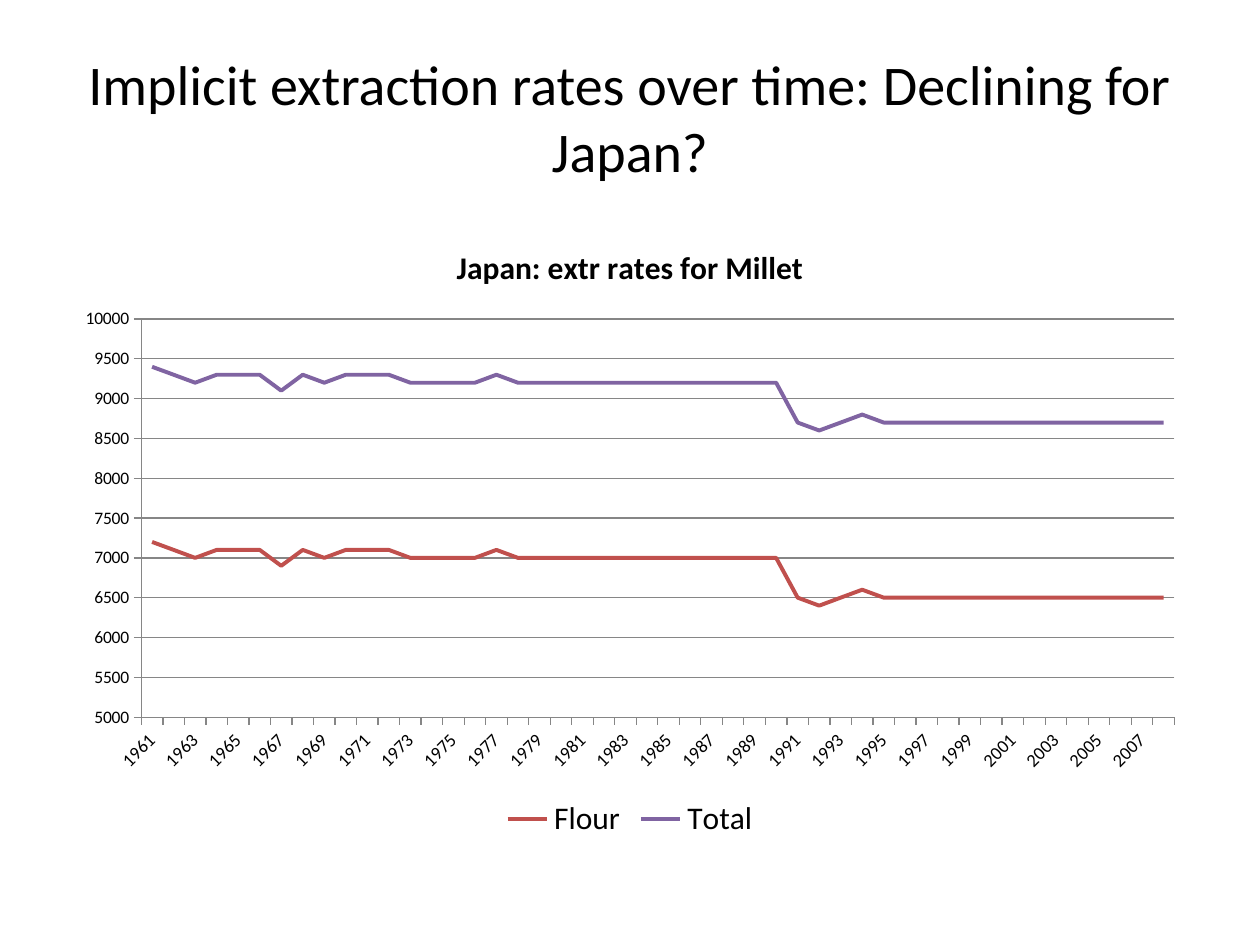
from dataclasses import dataclass

from pptx import Presentation
from pptx.chart.data import CategoryChartData
from pptx.dml.color import RGBColor
from pptx.enum.chart import XL_CHART_TYPE as ChartType
from pptx.enum.chart import XL_LEGEND_POSITION as LegendPosition
from pptx.enum.chart import XL_TICK_MARK as TickMark
from pptx.enum.text import MSO_ANCHOR as Anchor
from pptx.enum.text import PP_ALIGN as Align
from pptx.oxml import parse_xml
from pptx.oxml.ns import nsdecls
from pptx.util import Inches, Pt


@dataclass(frozen=True)
class Theme:
    font: str = "Calibri"
    text: str = "000000"
    grid: str = "868686"
    flour: str = "C0504D"
    total: str = "8064A2"
    heading: float = 32
    emphasis: float = 18
    years: float = 10.5
    rates: float = 10
    curve: float = 2.25
    hairline: float = 0.75


class SlideBuilder:
    def __init__(self, slide, theme):
        self.slide = slide
        self.theme = theme

    def style_font(self, font, size, bold=False):
        font.name = self.theme.font
        font.size = Pt(size)
        font.bold = bold
        font.color.rgb = RGBColor.from_string(self.theme.text)

    def style_line(self, line, color, width):
        line.color.rgb = RGBColor.from_string(color)
        line.width = Pt(width)

    def heading(self, wording, left, top, width, height):
        frame = self.slide.shapes.add_textbox(
            Inches(left), Inches(top), Inches(width), Inches(height)
        ).text_frame
        frame.word_wrap = True
        frame.vertical_anchor = Anchor.MIDDLE
        frame.text = wording
        paragraph = frame.paragraphs[0]
        paragraph.alignment = Align.CENTER
        self.style_font(paragraph.runs[0].font, self.theme.heading)

    def style_axis(self, axis, size):
        axis.major_tick_mark = TickMark.OUTSIDE
        axis.minor_tick_mark = TickMark.NONE
        self.style_font(axis.tick_labels.font, size)
        self.style_line(axis.format.line, self.theme.grid, self.theme.hairline)

    def line_chart(self, title, years, curves, left, top, width, height):
        theme = self.theme
        data = CategoryChartData(number_format="0")
        data.categories = years
        for name, rates, _ in curves:
            data.add_series(name, rates)
        chart = self.slide.shapes.add_chart(
            ChartType.LINE, Inches(left), Inches(top), Inches(width), Inches(height), data
        ).chart
        self.style_font(chart.font, theme.rates)

        chart.has_title = True
        chart.chart_title.include_in_layout = False
        chart.chart_title.text_frame.text = title
        title_run = chart.chart_title.text_frame.paragraphs[0].runs[0]
        self.style_font(title_run.font, theme.emphasis, bold=True)

        chart.has_legend = True
        chart.legend.position = LegendPosition.BOTTOM
        chart.legend.include_in_layout = False
        self.style_font(chart.legend.font, theme.emphasis)

        rate_axis = chart.value_axis
        self.style_axis(rate_axis, theme.rates)
        rate_axis.minimum_scale = 5000
        rate_axis.maximum_scale = 10000
        rate_axis.major_unit = 500
        rate_axis.tick_labels.number_format = "0"
        rate_axis.tick_labels.number_format_is_linked = False
        rate_axis.has_major_gridlines = True
        self.style_line(rate_axis.major_gridlines.format.line, theme.grid, theme.hairline)

        year_axis = chart.category_axis
        self.style_axis(year_axis, theme.years)
        year_axis._element.txPr.bodyPr.set("rot", "-2700000")
        label_skip = parse_xml(f'<c:tickLblSkip {nsdecls("c")} val="2"/>')
        year_axis._element.find("{*}noMultiLvlLbl").addprevious(label_skip)

        for series, (_, _, color) in zip(chart.plots[0].series, curves):
            series.smooth = False
            self.style_line(series.format.line, color, theme.curve)


def main():
    theme = Theme()
    deck = Presentation()
    deck.slide_width, deck.slide_height = Inches(10), Inches(7.5)
    builder = SlideBuilder(deck.slides.add_slide(deck.slide_layouts[6]), theme)

    years = [str(year) for year in range(1961, 2009)]
    flour = [
        7200, 7100, 7000, 7100, 7100, 7100, 6900, 7100, 7000, 7100,
        7100, 7100, 7000, 7000, 7000, 7000, 7100, 7000, 7000, 7000,
        7000, 7000, 7000, 7000, 7000, 7000, 7000, 7000, 7000, 7000,
        6500, 6400, 6500, 6600, 6500, 6500, 6500, 6500, 6500, 6500,
        6500, 6500, 6500, 6500, 6500, 6500, 6500, 6500,
    ]
    total = [rate + 2200 for rate in flour]

    builder.heading(
        "Implicit extraction rates over time: Declining for Japan?", 0.5, 0.3, 9, 1.25
    )
    builder.line_chart(
        "Japan: extr rates for Millet",
        years,
        [("Flour", flour, theme.flour), ("Total", total, theme.total)],
        0.5, 1.75, 9, 4.95,
    )
    deck.save("out.pptx")


if __name__ == "__main__":
    main()
